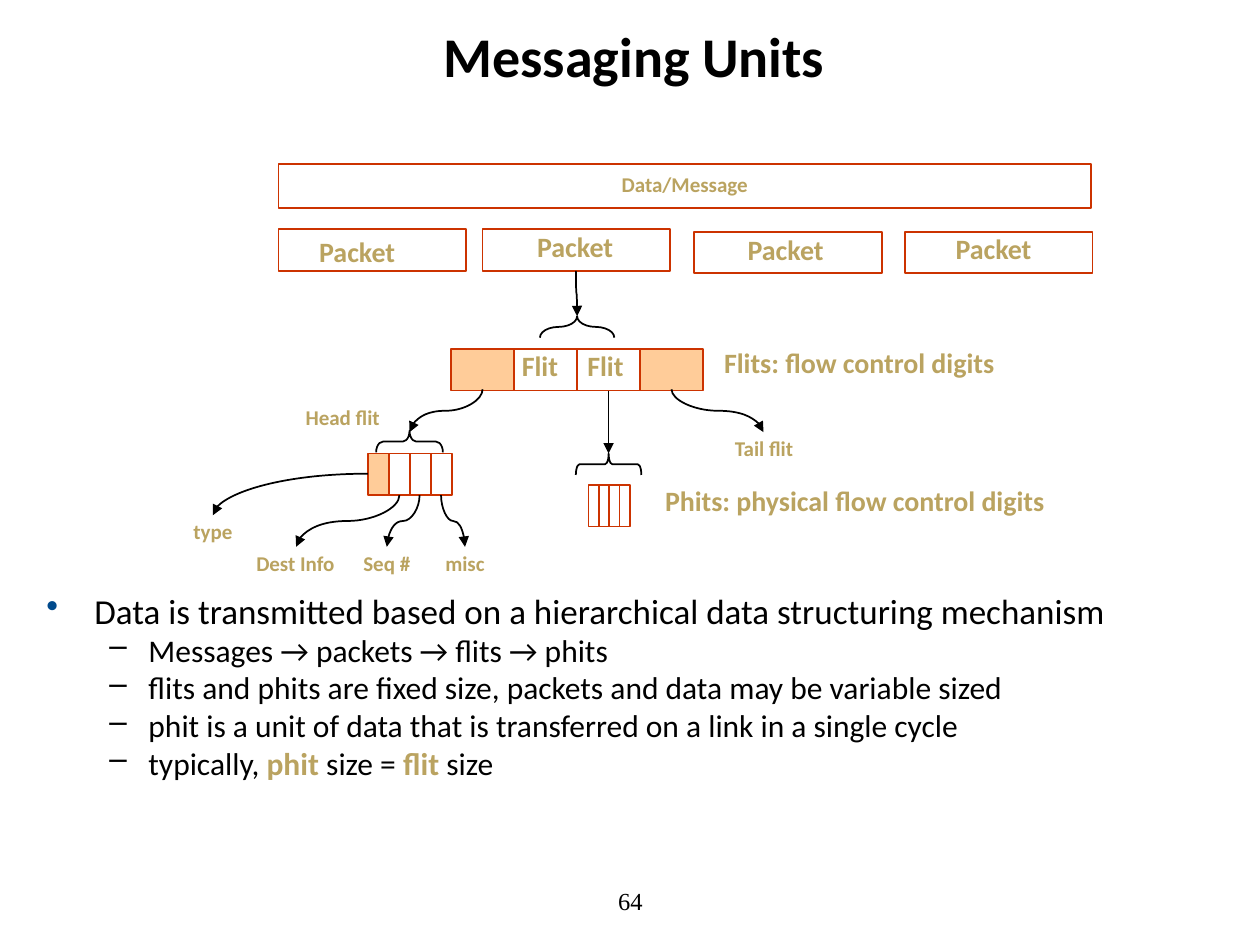
from lxml.etree import SubElement
from pptx import Presentation
from pptx.dml.color import RGBColor
from pptx.enum.shapes import MSO_CONNECTOR as LINK, MSO_SHAPE as SHAPE
from pptx.enum.text import MSO_ANCHOR as ANCHOR, PP_ALIGN as ALIGN
from pptx.oxml.ns import qn
from pptx.util import Inches, Pt

# Content
BLACK, GOLD, RED, PEACH, BLUE = "000000", "BAA360", "CC3300", "FFCC99", "004A8C"
TITLE = "Messaging Units"
PAGE_NUMBER = "64"
BULLETS = [  # level, runs as (text, highlighted)
    (0, [("Data is transmitted based on a hierarchical data structuring mechanism", False)]),
    (1, [("Messages → packets → flits → phits", False)]),
    (1, [("flits and phits are fixed size, packets and data may be variable sized", False)]),
    (1, [("phit is a unit of data that is transferred on a link in a single cycle", False)]),
    (1, [("typically, ", False), ("phit", True), (" size = ", False),
         ("flit", True), (" size", False)]),
]
LEVELS = [(20, 0.38, 0.38, "•", BLUE), (18, 0.81, 0.31, "–", BLACK)]  # size, margin, hang, mark

PACKETS = [(2.21, 1.82), (3.83, 1.82), (5.51, 1.84), (7.18, 1.84)]
ROWS = {  # left, top, total width, filled cells
    "flits": (3.58, 2.77, 2.0, (0, 3)),
    "fields": (2.92, 3.6, 0.67, (0,)),
    "phits": (4.67, 3.85, 0.33, ()),
}
CELL_COUNT, CELL_HEIGHT = 4, 0.33
LABELS = [  # text, left, top, width, size
    ("Packet", 2.43, 1.84, 0.81, 16),
    ("Packet", 4.16, 1.8, 0.81, 16),
    ("Packet", 5.83, 1.83, 0.81, 16),
    ("Packet", 7.48, 1.82, 0.81, 16),
    ("Flit", 4.04, 2.75, 0.49, 16),
    ("Flit", 4.56, 2.75, 0.49, 16),
    ("Flits: flow control digits", 5.63, 2.72, 2.38, 16),
    ("Phits: physical flow control digits", 5.16, 3.82, 3.25, 16),
    ("Head flit", 2.32, 3.18, 0.8, 12),
    ("Tail flit", 5.73, 3.43, 0.67, 12),
    ("type", 1.43, 4.09, 0.52, 12),
    ("Dest Info", 1.93, 4.34, 0.83, 12),
    ("Seq #", 2.78, 4.34, 0.58, 12),
    ("misc", 3.43, 4.34, 0.52, 12),
]
BRACES = [(4.58, 2.51, 0.59, 1), (3.25, 3.42, 0.53, 0.32), (4.83, 3.6, 0.52, 0.17)]  # tip, span, curl
BRACE_DEPTH = 0.17
CURVES = [  # start and end, leaving and arriving vertically
    (4.57, 2.15, 4.58, 2.51),
    (3.83, 3.09, 3.25, 3.43),
    (5.33, 3.09, 6.06, 3.43),
    (3.17, 3.93, 2.35, 4.34),
    (3.33, 3.93, 3.07, 4.34),
    (3.5, 3.93, 3.69, 4.34),
]

deck = Presentation()
deck.slide_width, deck.slide_height = Inches(10), Inches(7.5)
page = deck.slides.add_slide(deck.slide_layouts[6])


def color(value):
    return RGBColor.from_string(value)


def add_span(para, text, size, tint=BLACK, bold=False, font="Calibri"):
    span = para.add_run()
    span.text = text
    span.font.name, span.font.size, span.font.bold = font, Pt(size), bold
    span.font.color.rgb = color(tint)


def add_box(left, top, width, height, wrap=True):
    box = page.shapes.add_textbox(*map(Inches, (left, top, width, height)))
    box.text_frame.word_wrap = wrap
    return box.text_frame


def add_label(para, text, size):
    para.alignment, para.line_spacing = ALIGN.CENTER, 0.9
    add_span(para, text, size, GOLD, True)


def add_outline(kind, left, top, width, height, line, fill=None):
    shape = page.shapes.add_shape(kind, *map(Inches, (left, top, width, height)))
    shape.shadow.inherit = False
    shape.line.color.rgb, shape.line.width = color(line), Pt(1)
    if fill:
        shape.fill.solid()
        shape.fill.fore_color.rgb = color(fill)
    else:
        shape.fill.background()
    return shape


def add_arrow(kind, x1, y1, x2, y2):
    arrow = page.shapes.add_connector(kind, *map(Inches, (x1, y1, x2, y2)))
    arrow.line.color.rgb, arrow.line.width = color(BLACK), Pt(1)
    SubElement(arrow.line._get_or_add_ln(), qn("a:tailEnd"), type="triangle")
    SubElement(arrow._element.spPr, qn("a:effectLst"))
    return arrow


def add_vertical_curve(x1, y1, x2, y2):
    # A curve runs sideways by default, so lay it flat and turn it about its centre
    x, y = (x1 + x2) / 2, (y1 + y2) / 2
    half_run, half_rise = (y2 - y1) / 2, abs(x2 - x1) / 2
    turn = 90
    if x2 > x1:
        half_run, turn = -half_run, 270
    arrow = add_arrow(LINK.CURVE, x - half_run, y - half_rise, x + half_run, y + half_rise)
    arrow._element.spPr.find(qn("a:xfrm")).set("rot", str(turn * 60000))


# Title
add_span(add_box(3.42, 0.12, 4.51, 1.11).paragraphs[0], TITLE, 32, bold=True)

# Message and packets
message = add_outline(SHAPE.RECTANGLE, 2.21, 1.3, 6.45, 0.35, RED).text_frame
message.vertical_anchor, message.word_wrap = ANCHOR.MIDDLE, False
add_label(message.paragraphs[0], "Data/Message", 12)
for left, top in PACKETS:
    add_outline(SHAPE.RECTANGLE, left, top, 1.49, CELL_HEIGHT, RED)

# Rows of flits, header fields and phits
cells = {}
for name, (left, top, total, filled) in ROWS.items():
    width = total / CELL_COUNT
    cells[name] = [
        add_outline(SHAPE.RECTANGLE, left + i * width, top, width, CELL_HEIGHT, RED,
                    PEACH if i in filled else None)
        for i in range(CELL_COUNT)
    ]

# Braces, turned so that the tip points up
for tip_x, tip_y, span_width, curl in BRACES:
    brace = add_outline(SHAPE.LEFT_BRACE, tip_x - BRACE_DEPTH / 2,
                        tip_y + (BRACE_DEPTH - span_width) / 2,
                        BRACE_DEPTH, span_width, BLACK)
    brace.rotation = 90
    brace.adjustments[0] = curl

# Arrows
for curve in CURVES:
    add_vertical_curve(*curve)
type_arrow = add_arrow(LINK.CURVE, 2.92, 3.76, 1.69, 4.09)
type_arrow._element.spPr.find(qn("a:prstGeom")).set("prst", "curvedConnector2")
phit_arrow = add_arrow(LINK.STRAIGHT, 4.83, 3.1, 4.83, 3.6)
phit_arrow.begin_connect(cells["flits"][2], 2)

# Labels
for text, left, top, width, size in LABELS:
    frame = add_box(left, top, width, 0.34 if size == 16 else 0.28, wrap=False)
    add_label(frame.paragraphs[0], text, size)

# Bulleted text
body = add_box(0.27, 4.69, 9.45, 2.02)
for i, (level, runs) in enumerate(BULLETS):
    size, margin, hang, mark, tint = LEVELS[level]
    para = body.add_paragraph() if i else body.paragraphs[0]
    para.level, para.line_spacing = level, 0.8
    if i:
        para.space_before = Pt(4.2)
    props = para._p.get_or_add_pPr()
    props.set("marL", str(Inches(margin)))
    props.set("indent", str(-Inches(hang)))
    SubElement(SubElement(props, qn("a:buClr")), qn("a:srgbClr"), val=tint)
    SubElement(props, qn("a:buChar"), char=mark)
    for text, highlighted in runs:
        add_span(para, text, size, GOLD if highlighted else BLACK, highlighted)

# Page number
footer = add_box(2.87, 6.95, 2.33, 0.4)
footer.vertical_anchor = ANCHOR.MIDDLE
footer.paragraphs[0].alignment = ALIGN.RIGHT
add_span(footer.paragraphs[0], PAGE_NUMBER, 14, font="Times New Roman")

deck.save("out.pptx")
